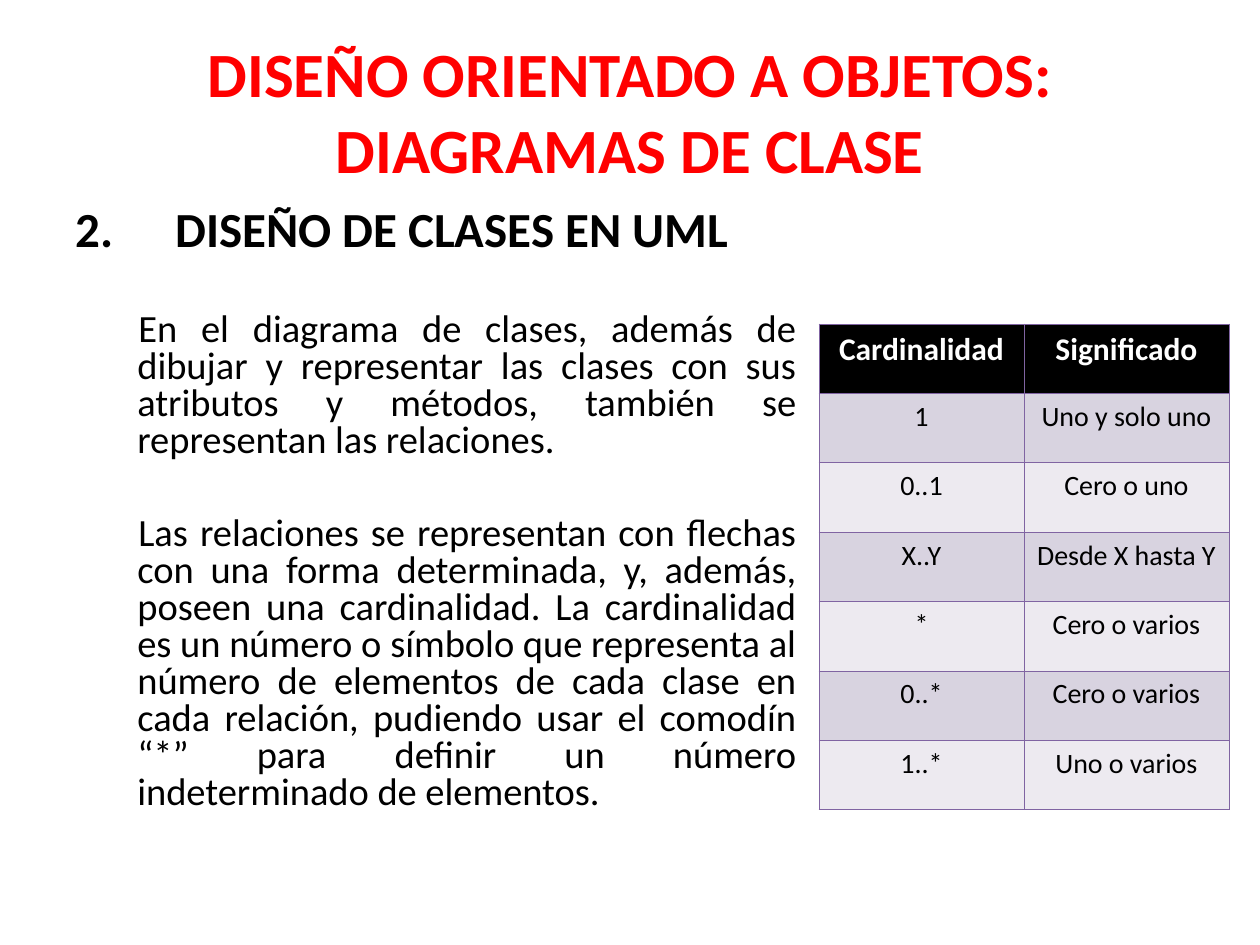
import pptx
import pptx.util
import pptx.dml.color
import pptx.enum.text
import pptx.oxml.ns
from lxml import etree

PX = 914400 / 126
RED = pptx.dml.color.RGBColor(0xFF, 0x00, 0x00)
BLACK = pptx.dml.color.RGBColor(0x00, 0x00, 0x00)
WHITE = pptx.dml.color.RGBColor(0xFF, 0xFF, 0xFF)
LILAC = pptx.dml.color.RGBColor(0xD8, 0xD3, 0xE0)
PALE = pptx.dml.color.RGBColor(0xED, 0xEA, 0xF0)
PURPLE = pptx.dml.color.RGBColor(0x80, 0x64, 0xA2)
ALIGN = pptx.enum.text.PP_ALIGN
ANCHOR = pptx.enum.text.MSO_ANCHOR
qn = pptx.oxml.ns.qn


def px(n):
    return pptx.util.Emu(round(n * PX))


def write(p, text, size, color=BLACK, bold=False, align=ALIGN.CENTER,
          spacing=None, before=0, left=0, first=0):
    p.alignment = align
    p.space_before = pptx.util.Pt(before)
    if spacing:
        p.line_spacing = spacing
    pPr = p._p.get_or_add_pPr()
    pPr.set("marL", str(px(left)))
    pPr.set("indent", str(px(first)))
    r = p.add_run()
    r.text = text
    r.font.name = "Calibri"
    r.font.size = pptx.util.Pt(size)
    r.font.bold = bold
    r.font.color.rgb = color


prs = pptx.Presentation()
prs.slide_width, prs.slide_height = px(1260), px(945)
s = prs.slides.add_slide(prs.slide_layouts[5])

title = s.shapes.title
title.left, title.top, title.width, title.height = px(63), px(38), px(1134), px(137)
tf = title.text_frame
tf.word_wrap = True
tf.auto_size = pptx.enum.text.MSO_AUTO_SIZE.NONE
tf.vertical_anchor = ANCHOR.MIDDLE
tf.margin_top, tf.margin_bottom = px(14), px(6)
write(tf.paragraphs[0], "DISEÑO ORIENTADO A OBJETOS: DIAGRAMAS DE CLASE", 36, RED, True)

body = s.shapes.add_textbox(px(63), px(204), px(746), px(635))
tf = body.text_frame
tf.word_wrap = True
p = tf.paragraphs[0]
bullet = etree.SubElement(p._p.get_or_add_pPr(), qn("a:buAutoNum"))
bullet.set("type", "arabicPeriod")
bullet.set("startAt", "2")
write(p, "DISEÑO DE CLASES EN UML", 28, bold=True, align=ALIGN.LEFT,
      spacing=0.8, left=100, first=-100)
for text in (
    "En el diagrama de clases, además de dibujar y representar las clases con sus "
    "atributos y métodos, también se representan las relaciones.",
    "Las relaciones se representan con flechas con una forma determinada, y, además, "
    "poseen una cardinalidad. La cardinalidad es un número o símbolo que representa al "
    "número de elementos de cada clase en cada relación, pudiendo usar el comodín “*” "
    "para definir un número indeterminado de elementos.",
):
    write(tf.add_paragraph(), text, 22, align=ALIGN.JUSTIFY,
          spacing=0.8, before=32, left=62, first=1)

rows = [
    ("Cardinalidad", "Significado"),
    ("1", "Uno y solo uno"),
    ("0..1", "Cero o uno"),
    ("X..Y", "Desde X hasta Y"),
    ("*", "Cero o varios"),
    ("0..*", "Cero o varios"),
    ("1..*", "Uno o varios"),
]
table = s.shapes.add_table(len(rows), 2, px(819), px(324), px(410), px(486)).table
for i, row in enumerate(rows):
    header = i == 0
    for j, text in enumerate(row):
        cell = table.cell(i, j)
        cell.margin_left = cell.margin_right = px(10)
        tcPr = cell._tc.get_or_add_tcPr()
        for side in ("lnL", "lnR", "lnT", "lnB"):
            ln = etree.SubElement(tcPr, qn("a:" + side), w=str(pptx.util.Pt(0.45)))
            fill = etree.SubElement(ln, qn("a:solidFill"))
            etree.SubElement(fill, qn("a:srgbClr"), val=str(PURPLE))
        cell.fill.solid()
        cell.fill.fore_color.rgb = BLACK if header else LILAC if i % 2 else PALE
        write(cell.text_frame.paragraphs[0], text, 18 if header else 16,
              WHITE if header else BLACK, header)

prs.save("out.pptx")
